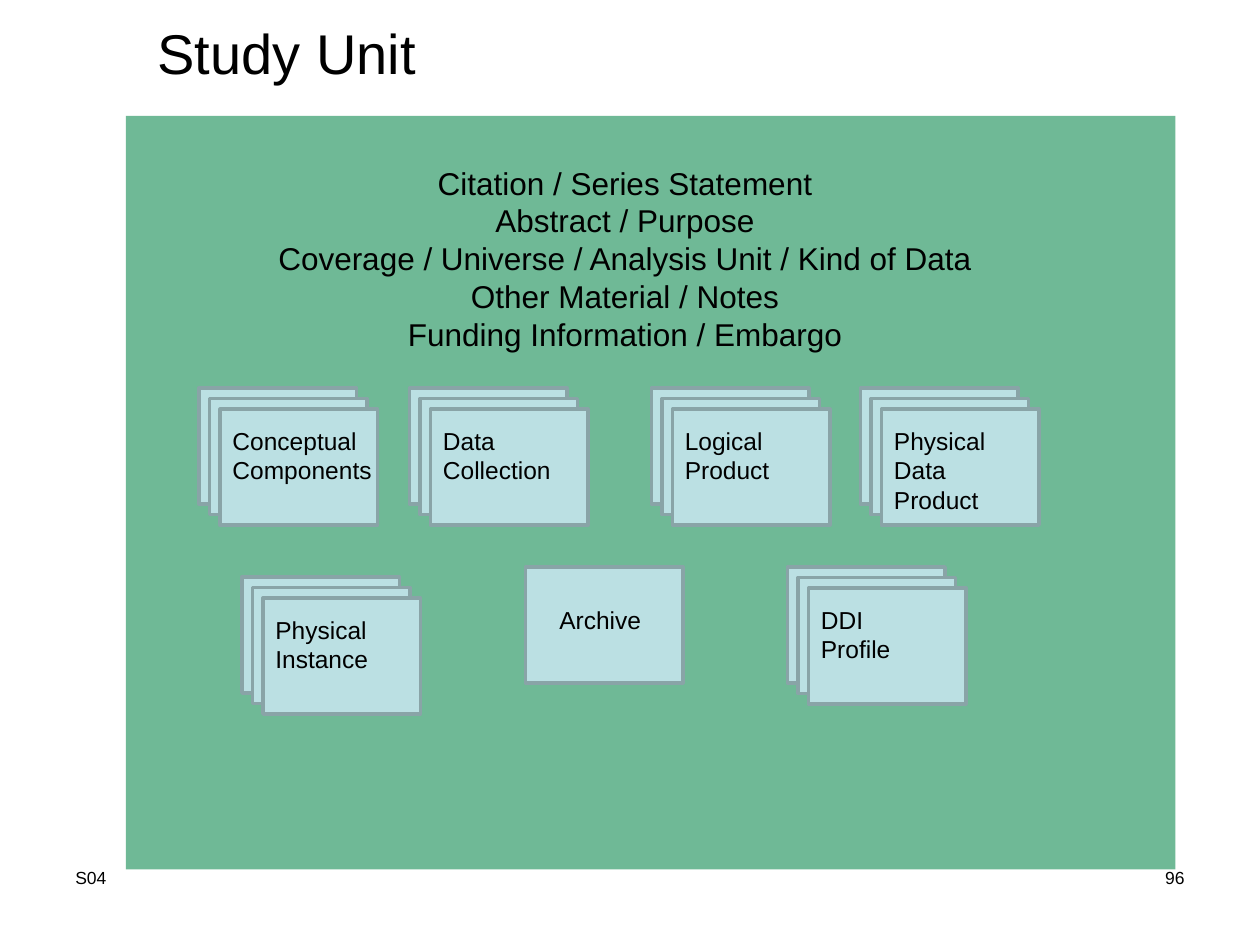
import pptx
import pptx.dml.color
import pptx.enum.shapes
import pptx.enum.text
import pptx.util
from pptx.util import Inches

ALIGN = pptx.enum.text.PP_ALIGN
CARD_WIDTH, CARD_HEIGHT = 1.25, 0.92
STACK_STEP = 1 / 12

SUMMARY = [
    "Citation / Series Statement",
    "Abstract / Purpose",
    "Coverage / Universe / Analysis Unit / Kind of Data",
    "Other Material / Notes",
    "Funding Information / Embargo",
]

# Module label, left and top of its rearmost card, label width and height
MODULES = [
    ("Conceptual\nComponents", 1.58, 3.08, 1.3, 0.57),
    ("Data\nCollection", 3.25, 3.08, 1.05, 0.57),
    ("Logical\nProduct", 5.17, 3.08, 0.87, 0.57),
    ("Physical\nData\nProduct", 6.83, 3.08, 1.4, 0.8),
    ("Physical\nInstance", 1.92, 4.58, 0.98, 0.57),
    ("DDI\nProfile", 6.25, 4.5, 0.75, 0.57),
]


def rgb(hex_colour):
    return pptx.dml.color.RGBColor.from_string(hex_colour)


def write(frame, text, size, align=ALIGN.LEFT, wrap=True):
    frame.text = text
    frame.word_wrap = wrap
    frame.auto_size = pptx.enum.text.MSO_AUTO_SIZE.NONE
    frame.vertical_anchor = pptx.enum.text.MSO_ANCHOR.TOP
    for paragraph in frame.paragraphs:
        paragraph.alignment = align
        for run in paragraph.runs:
            run.font.name = "Arial"
            run.font.size = pptx.util.Pt(size)
            run.font.color.rgb = rgb("000000")


def add_label(slide, text, left, top, width, height, size=14, **layout):
    label = slide.shapes.add_textbox(
        Inches(left), Inches(top), Inches(width), Inches(height))
    write(label.text_frame, text, size, **layout)


def add_rectangle(slide, left, top, width, height, fill, line=None):
    rectangle = slide.shapes.add_shape(
        pptx.enum.shapes.MSO_SHAPE.RECTANGLE,
        Inches(left), Inches(top), Inches(width), Inches(height))
    rectangle.shadow.inherit = False
    rectangle.fill.solid()
    rectangle.fill.fore_color.rgb = rgb(fill)
    if line:
        rectangle.line.color.rgb = rgb(line)
        rectangle.line.width = pptx.util.Pt(2)
    else:
        rectangle.line.fill.background()


def add_card(slide, left, top):
    add_rectangle(slide, left, top, CARD_WIDTH, CARD_HEIGHT, "BBE0E3", "89A4A7")


def add_module(slide, text, left, top, width, height):
    """Draw three stacked cards with the label on the front one."""
    for layer in range(3):
        offset = layer * STACK_STEP
        add_card(slide, left + offset, top + offset)
    add_label(slide, text, left + offset, top + offset + STACK_STEP,
              width, height, wrap=False)


def add_title(slide, text):
    title = slide.shapes.title
    title.left, title.top = Inches(1.15), Inches(0.1)
    title.width, title.height = Inches(2.5), Inches(0.64)
    write(title.text_frame, text, 32)


def main():
    deck = pptx.Presentation()
    deck.slide_width, deck.slide_height = Inches(10), Inches(7.5)
    slide = deck.slides.add_slide(deck.slide_layouts[5])

    add_title(slide, "Study Unit")
    add_rectangle(slide, 1, 0.92, 8.33, 5.98, "6FB996")
    add_label(slide, "\n".join(SUMMARY), 1.92, 1.25, 6.08, 1.6,
              size=18, align=ALIGN.CENTER)
    for module in MODULES:
        add_module(slide, *module)
    add_card(slide, 4.17, 4.5)
    add_label(slide, "Archive", 4.34, 4.75, 0.85, 0.34, wrap=False)
    add_label(slide, "S04", 0.5, 6.83, 2.33, 0.52, size=10)
    add_label(slide, "96", 7.17, 6.83, 2.33, 0.52, size=10, align=ALIGN.RIGHT)

    deck.save("out.pptx")


if __name__ == "__main__":
    main()
